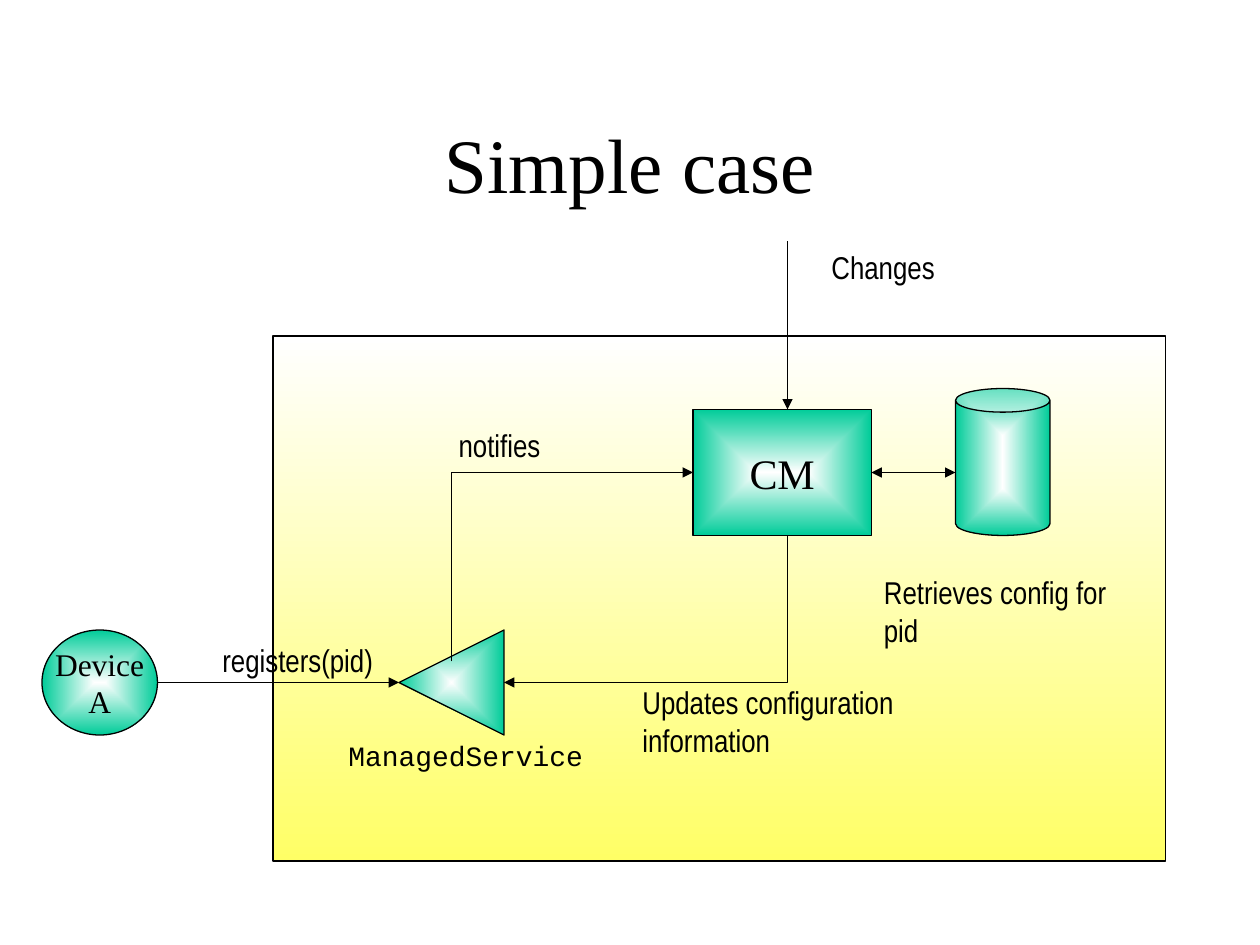
from dataclasses import dataclass

from lxml import etree
from pptx import Presentation
from pptx.dml.color import RGBColor
from pptx.enum import shapes, text
from pptx.oxml.ns import qn
from pptx.util import Emu, Pt

PX = 9525  # 96 px to the inch
BLACK, WHITE, GREEN, YELLOW = "000000", "FFFFFF", "00CC99", "FFFF66"
SERIF, NARROW, MONO = "Times New Roman", "Arial Narrow", "Courier New"
SHAPE = shapes.MSO_SHAPE


@dataclass
class Node:
    kind: SHAPE
    box: tuple[int, int, int, int]
    text: str = ""
    size: int = 18
    rotation: int = 0
    color: str = GREEN
    radial: bool = True


@dataclass
class Label:
    text: str
    box: tuple[int, int, int, int]
    font: str = NARROW
    size: int = 18


@dataclass
class Arrow:
    points: list[tuple[int, int]]
    label: Label
    both_ends: bool = False


def px(*values: int) -> list[Emu]:
    return [Emu(v * PX) for v in values]


def rgb(color: str) -> RGBColor:
    return RGBColor.from_string(color)


def write(tf, content: str, font: str, size: int, align) -> None:
    tf.text = content
    for p in tf.paragraphs:
        p.alignment = align
        p.font.name, p.font.size = font, Pt(size)
        p.font.color.rgb = rgb(BLACK)


def outline(sp) -> None:
    sp.line.color.rgb = rgb(BLACK)
    sp.line.width = Pt(0.75)


def shade(sp, color: str, radial: bool) -> None:
    sp.fill.gradient()
    sp.fill.gradient_angle = 270
    for stop, stop_color in zip(sp.fill.gradient_stops, (WHITE, color)):
        stop.color.rgb = rgb(stop_color)
    if radial:
        grad = sp._element.spPr.find(qn("a:gradFill"))
        grad.remove(grad.find(qn("a:lin")))
        path = etree.SubElement(grad, qn("a:path"), path="rect")
        etree.SubElement(path, qn("a:fillToRect"),
                         {side: "50000" for side in "ltrb"})


def add_node(slide, node: Node):
    sp = slide.shapes.add_shape(node.kind, *px(*node.box))
    sp.shadow.inherit = False
    sp.rotation = node.rotation
    shade(sp, node.color, node.radial)
    outline(sp)
    if node.text:
        tf = sp.text_frame
        tf.word_wrap = False
        tf.vertical_anchor = text.MSO_ANCHOR.MIDDLE
        write(tf, node.text, SERIF, node.size, text.PP_ALIGN.CENTER)
    return sp


def add_label(slide, label: Label) -> None:
    tf = slide.shapes.add_textbox(*px(*label.box)).text_frame
    tf.word_wrap = False
    tf.auto_size = text.MSO_AUTO_SIZE.SHAPE_TO_FIT_TEXT
    write(tf, label.text, label.font, label.size, text.PP_ALIGN.LEFT)


def add_arrow(slide, arrow: Arrow):
    points = [px(*point) for point in arrow.points]
    if len(points) == 2:
        sp = slide.shapes.add_connector(
            shapes.MSO_CONNECTOR.STRAIGHT, *points[0], *points[1])
        etree.SubElement(sp._element.spPr, qn("a:effectLst"))
    else:
        builder = slide.shapes.build_freeform(*points[0])
        builder.add_line_segments(points[1:], close=False)
        sp = builder.convert_to_shape()
        sp.shadow.inherit = False
        sp.fill.background()
    outline(sp)
    ln = sp.line._get_or_add_ln()
    for end in ("a:headEnd", "a:tailEnd") if arrow.both_ends else ("a:tailEnd",):
        etree.SubElement(ln, qn(end), type="triangle")
    add_label(slide, arrow.label)
    return sp


def main() -> None:
    prs = Presentation()
    prs.slide_width, prs.slide_height = px(960, 720)
    slide = prs.slides.add_slide(prs.slide_layouts[6])

    # Framework panel and title
    add_node(slide, Node(SHAPE.RECTANGLE, (208, 256, 680, 400),
                         color=YELLOW, radial=False))
    tf = slide.shapes.add_textbox(*px(72, 64, 816, 120)).text_frame
    tf.word_wrap = True
    tf.vertical_anchor = text.MSO_ANCHOR.MIDDLE
    write(tf, "Simple case", SERIF, 44, text.PP_ALIGN.CENTER)

    # Device, store, configuration manager and managed service
    add_node(slide, Node(SHAPE.OVAL, (32, 480, 88, 80), "Device\nA"))
    add_node(slide, Node(SHAPE.CAN, (728, 296, 72, 112)))
    cm = add_node(slide, Node(SHAPE.RECTANGLE, (528, 312, 136, 96), "CM", 24))
    add_node(slide, Node(SHAPE.ISOSCELES_TRIANGLE, (304, 480, 80, 80),
                         rotation=270))
    add_label(slide, Label("ManagedService", (256, 558, 198, 36), MONO, 16))

    # Steps of the exchange
    add_arrow(slide, Arrow([(120, 520), (304, 520)],
                           Label("registers(pid)", (160, 484, 134, 38))))
    add_arrow(slide, Arrow([(344, 504), (344, 360), (528, 360)],
                           Label("notifies", (340, 320, 82, 38))))
    add_arrow(slide, Arrow([(600, 408), (600, 520), (384, 520)],
                           Label("Updates configuration\ninformation",
                                 (480, 516, 211, 67))))
    retrieves = add_arrow(slide, Arrow([(664, 360), (728, 360)],
                                       Label("Retrieves config for\npid",
                                             (664, 432, 189, 67)), True))
    retrieves.begin_connect(cm, 3)
    # Changes come in just right of the middle, in line with the update step
    add_arrow(slide, Arrow([(600, 184), (600, 312)],
                           Label("Changes", (624, 184, 98, 38))))

    prs.save("out.pptx")


if __name__ == "__main__":
    main()
